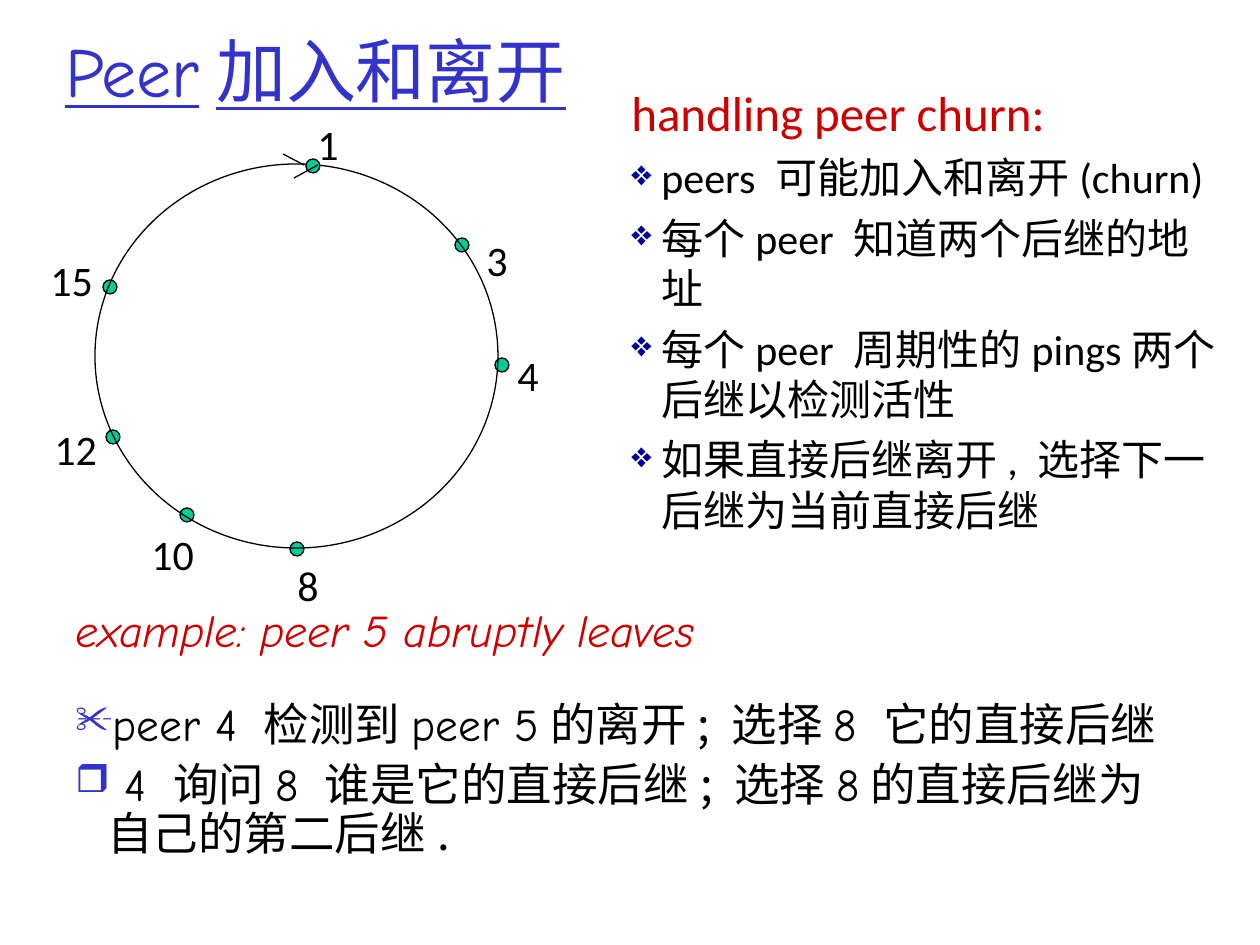
import itertools
from dataclasses import dataclass

import lxml.etree
import pptx
import pptx.dml.color
import pptx.enum.shapes
import pptx.enum.text
import pptx.oxml.ns
import pptx.util


@dataclass
class Theme:
    blue: str = "3333CC"
    navy: str = "000099"
    red: str = "CC0000"
    black: str = "000000"
    green: str = "00CC99"
    hand: str = "Comic Neue"
    plain: str = "Calibri"
    han: str = "Noto Sans CJK SC"
    title: int = 40
    heading: int = 28
    example: int = 26
    body: int = 24
    line: float = 0.74


theme = Theme()
PX = 914400 // 126
rgb = pptx.dml.color.RGBColor.from_string
qn = pptx.oxml.ns.qn
Pt = pptx.util.Pt


def add_box(left, top, width, height, wrap=True):
    frame = slide.shapes.add_textbox(left * PX, top * PX, width * PX, height * PX).text_frame
    frame.word_wrap = wrap
    return frame


def write(paragraph, pieces, latin, size, color, before=0, spacing=None, bullet=None, bullet_color=None, indent=0):
    paragraph.space_before = Pt(before)
    paragraph.line_spacing = spacing
    for piece, face in zip(pieces, itertools.cycle((latin, theme.han))):
        if not piece:
            continue
        run = paragraph.add_run()
        run.text = piece
        run.font.name, run.font.size = face, Pt(size)
        run.font.color.rgb = rgb(color)
        lxml.etree.SubElement(run._r.rPr, qn("a:ea"), typeface=theme.han)
    if bullet:
        props = paragraph._p.get_or_add_pPr()
        props.set("marL", str(indent * PX))
        props.set("indent", str(-indent * PX))
        tint = lxml.etree.SubElement(props, qn("a:buClr"))
        lxml.etree.SubElement(tint, qn("a:srgbClr"), val=bullet_color)
        lxml.etree.SubElement(props, qn("a:buSzPct"), val="85000")
        lxml.etree.SubElement(props, qn("a:buChar"), char=bullet)


deck = pptx.Presentation()
deck.slide_width, deck.slide_height = 1260 * PX, 945 * PX
slide = deck.slides.add_slide(deck.slide_layouts[6])

title = add_box(53, 0, 1134, 140)
title.vertical_anchor = pptx.enum.text.MSO_ANCHOR.MIDDLE
write(title.paragraphs[0], ["Peer", "加入和离开"], theme.hand, theme.title, theme.blue)
for run in title.paragraphs[0].runs:
    run.font.underline = True

example = add_box(63, 602, 1134, 294)
write(example.paragraphs[0], ["example: peer 5 abruptly leaves"], theme.hand, theme.example, theme.red, 6.5, 0.9)
example.paragraphs[0].runs[0].font.italic = True
steps = [
    ("✂", 1.5, ["peer 4 ", "检测到", "peer 5", "的离开; 选择", "8 ", "它的直接后继"]),
    ("❒", 0.9, [" 4 ", "询问", "8 ", "谁是它的直接后继; 选择", "8", "的直接后继为自己的第二后继."]),
]
for mark, spacing, pieces in steps:
    write(example.add_paragraph(), pieces, theme.hand, theme.example, theme.black, 6.5, spacing, mark, theme.blue, 32)

DOT = 14
peers = [
    ("8", 290, 542, 285, 553),
    ("15", 103, 280, 38, 248),
    ("12", 106, 430, 42, 417),
    ("3", 455, 238, 474, 228),
    ("4", 495, 358, 505, 343),
    ("10", 180, 508, 139, 522),
    ("1", 306, 159, 305, 112),
]
ovals = [(x, y, DOT, DOT) for _, x, y, _, _ in peers]
ring = (95, 164, 403, 384)
for left, top, width, height in ovals[:-1] + [ring, ovals[-1]]:
    oval = slide.shapes.add_shape(
        pptx.enum.shapes.MSO_SHAPE.OVAL, left * PX, top * PX, width * PX, height * PX)
    oval.shadow.inherit = False
    oval.line.color.rgb = rgb(theme.black)
    oval.line.width = Pt(theme.line)
    if width == DOT:
        oval.fill.solid()
        oval.fill.fore_color.rgb = rgb(theme.green)
    else:
        oval.fill.background()

for number, _, _, left, top in peers:
    label = add_box(left, top, 47 if len(number) == 1 else 68, 63, wrap=False)
    write(label.paragraphs[0], [number], theme.plain, theme.body, theme.black, 6)

for ends in [(283, 154, 304, 165), (318, 165, 294, 178)]:
    barb = slide.shapes.add_connector(
        pptx.enum.shapes.MSO_CONNECTOR.STRAIGHT, *(end * PX for end in ends))
    barb.line.color.rgb = rgb(theme.black)
    barb.line.width = Pt(theme.line)
    lxml.etree.SubElement(barb._element.spPr, qn("a:effectLst"))

churn = add_box(619, 76, 610, 577)
write(churn.paragraphs[0], ["handling peer churn:"], theme.plain, theme.heading, theme.red, 7)
rules = [
    "peers 可能加入和离开(churn)",
    "每个peer 知道两个后继的地址 ",
    "每个peer 周期性的pings两个后继以检测活性",
    "如果直接后继离开, 选择下一后继为当前直接后继",
]
for rule in rules:
    write(churn.add_paragraph(), [rule], theme.plain, theme.body, theme.black, 6, Pt(28.7), "❖", theme.navy, 30)

deck.save("out.pptx")
